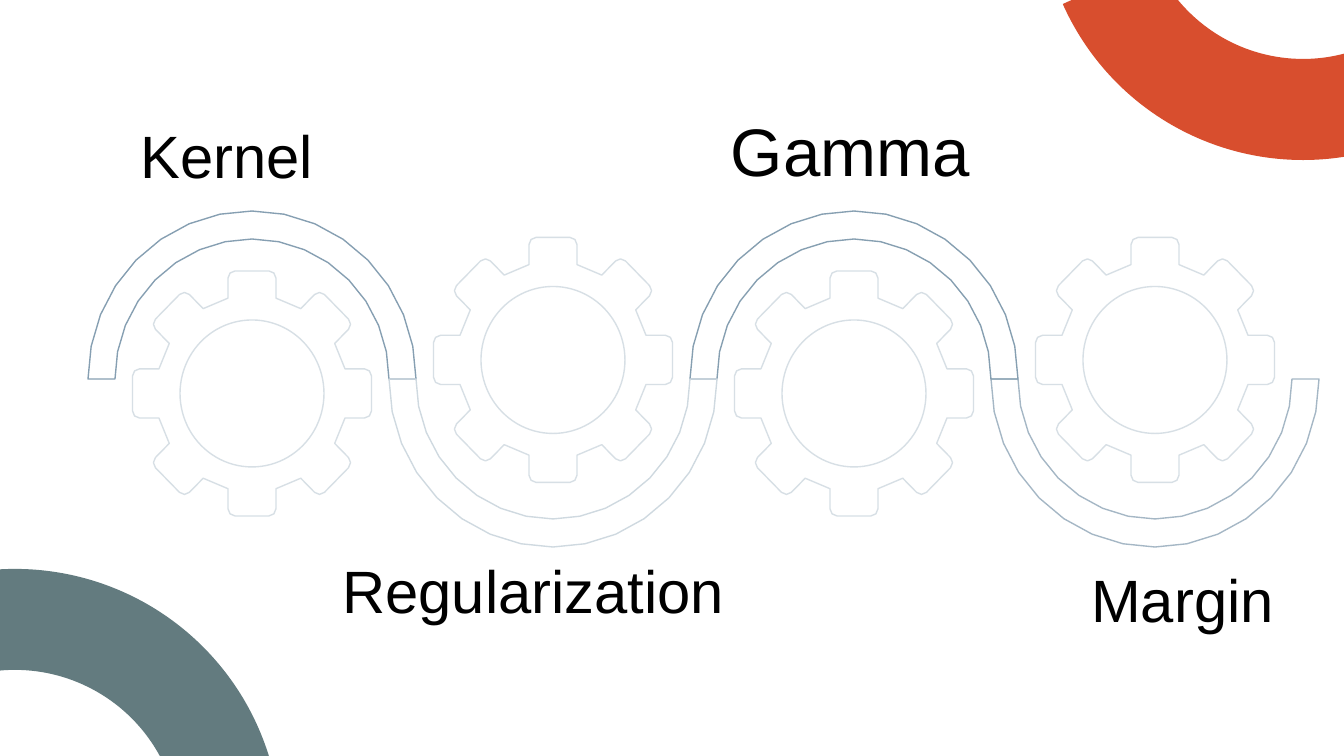
from math import cos, sin, radians
from pptx import Presentation
from pptx.dml.color import RGBColor
from pptx.enum.shapes import MSO_SHAPE
from pptx.enum.text import MSO_AUTO_SIZE, PP_ALIGN
from pptx.util import Pt

PX = 914400 / 134.4  # EMU in one px
FINE = 10            # outline steps in one px

deck = Presentation()
deck.slide_width, deck.slide_height = round(1344 * PX), round(756 * PX)
slide = deck.slides.add_slide(deck.slide_layouts[6])


def arc(cx, cy, rx, ry, start, end, steps):
    """Points on an ellipse, in degrees clockwise from the right."""
    angles = [radians(start + (end - start) * i / steps) for i in range(steps + 1)]
    return [(cx + rx * cos(a), cy + ry * sin(a)) for a in angles]


def paint(part, fill=None, line=None):
    part.shadow.inherit = False
    if fill:
        part.fill.solid()
        part.fill.fore_color.rgb = RGBColor.from_string(fill)
    else:
        part.fill.background()
    if line:
        part.line.color.rgb = RGBColor.from_string(line)
        part.line.width = Pt(0.75)
    else:
        part.line.fill.background()


# Corner quarter rings: block arc angles count 0.6 a degree
for cx, cy, outer, inner, start, color in [
    (1303, -103, 263, 162, 66, "D84E2E"),
    (15, 835, 266, 165, 255, "637B7F"),
]:
    bounds = (cx - outer, cy - outer, 2 * outer, 2 * outer)
    ring = slide.shapes.add_shape(MSO_SHAPE.BLOCK_ARC, *[round(v * PX) for v in bounds])
    ring.adjustments[0] = start * 0.6
    ring.adjustments[1] = (start + 90) * 0.6
    ring.adjustments[2] = (outer - inner) / (2 * outer)
    paint(ring, fill=color)

# Wave bands, alternately above and below the middle: order, points, colour
centers = [252 + 301 * i for i in range(4)]
wave_colors = ["869FB2", "CFD9E0", "869FB1", "A5B7C5"]
outlines = []
for i in (3, 2, 0, 1):
    end = 360 if i % 2 == 0 else 0
    band = arc(centers[i], 379, 164, 168, 180, end, 16)
    band += arc(centers[i], 379, 137, 140, end, 180, 16)
    outlines.append((band, wave_colors[i]))

# Gear profile: one tooth pointing right, turned eight times
tip, half_width, root, corner = 119.5, 24, 93, 7
tooth = [(root, -half_width)]
tooth += arc(tip - corner, corner - half_width, corner, corner, -90, 0, 2)
tooth += arc(tip - corner, half_width - corner, corner, corner, 0, 90, 2)
tooth += [(root, half_width)]
profile = []
for turn in range(0, 360, 45):
    c, s = cos(radians(turn)), sin(radians(turn))
    profile += [(x * c - y * s, x * s + y * c) for x, y in tooth]

# Gears, slightly taller than wide, each with a round hole
gear_places = [(cx, 393.5 if i % 2 == 0 else 360) for i, cx in enumerate(centers)]
for cx, cy in gear_places:
    outlines.append(([(cx + x, cy + y * 1.025) for x, y in profile], "D7DFE5"))

for points, color in outlines:
    fine = [(x * FINE, y * FINE) for x, y in points]
    builder = slide.shapes.build_freeform(*fine[0], scale=PX / FINE)
    builder.add_line_segments(fine[1:], close=True)
    paint(builder.convert_to_shape(), line=color)

for cx, cy in gear_places:
    bounds = (cx - 72, cy - 73.5, 144, 147)
    hole = slide.shapes.add_shape(MSO_SHAPE.OVAL, *[round(v * PX) for v in bounds])
    paint(hole, line="D7DFE5")

# Labels
for label, left, top, width, height, size, align in [
    ("Regularization", 327, 547, 413, 86, 32, PP_ALIGN.CENTER),
    ("Gamma", 716, 103, 269, 95, 36, PP_ALIGN.CENTER),
    ("Kernel", 126, 112, 202, 86, 32, PP_ALIGN.CENTER),
    ("Margin", 1078, 556, 211, 86, 32, PP_ALIGN.LEFT),
]:
    box = slide.shapes.add_textbox(*[round(v * PX) for v in (left, top, width, height)])
    box.text_frame.word_wrap = False
    box.text_frame.auto_size = MSO_AUTO_SIZE.SHAPE_TO_FIT_TEXT
    paragraph = box.text_frame.paragraphs[0]
    paragraph.text = label
    paragraph.alignment = align
    paragraph.font.name = "Arial"
    paragraph.font.size = Pt(size)
    paragraph.font.color.rgb = RGBColor.from_string("000000")

deck.save("out.pptx")
